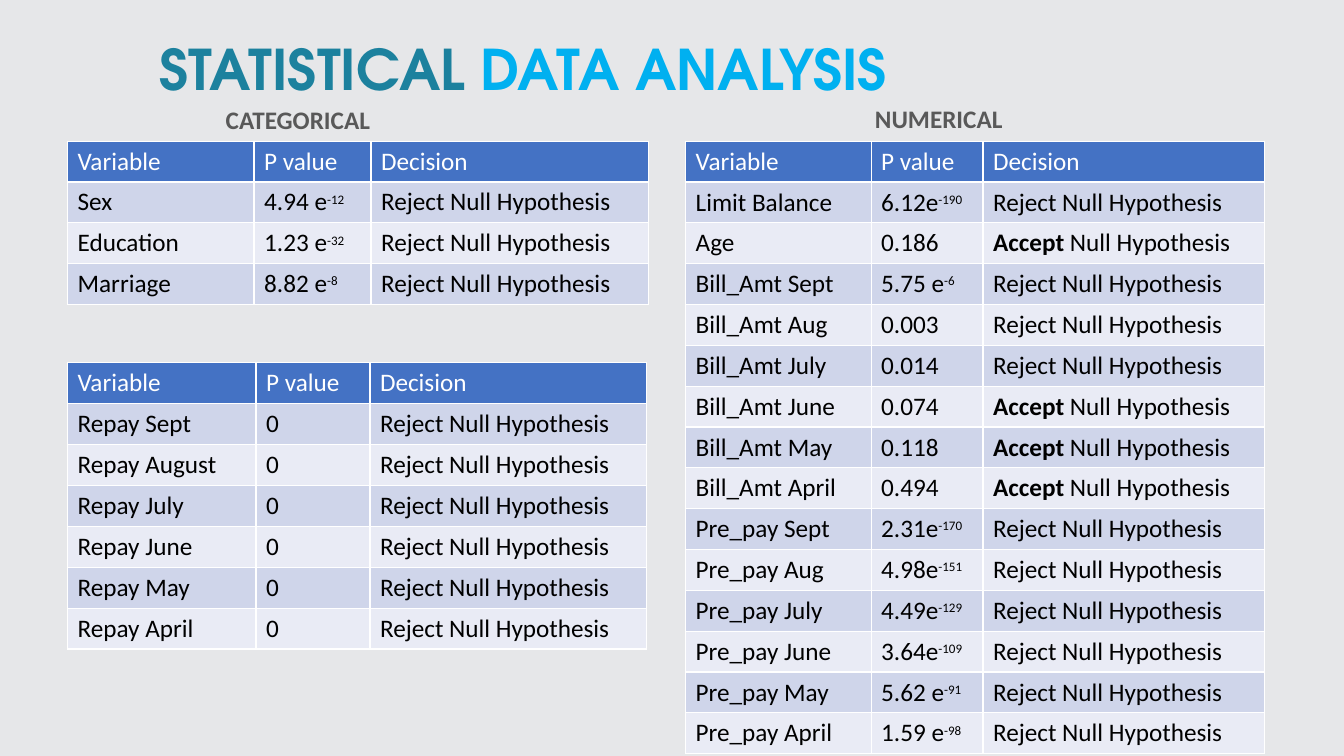
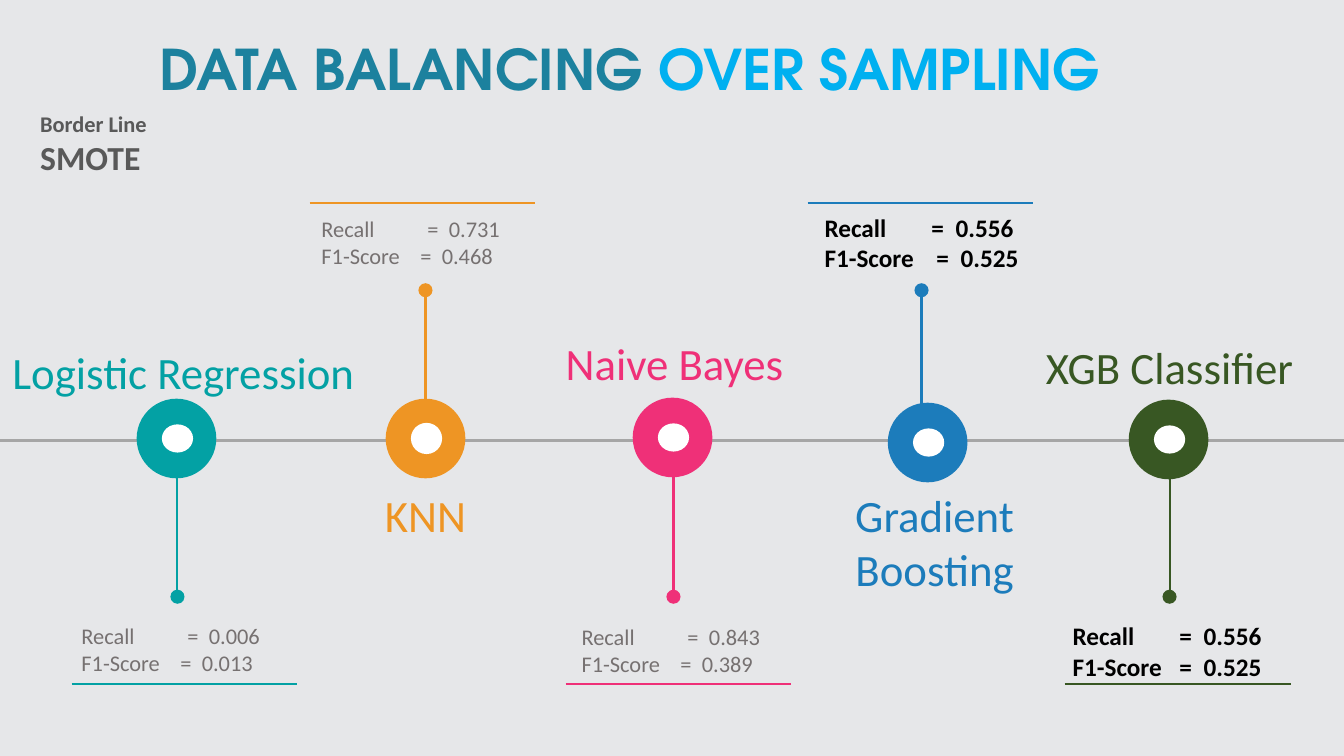
"""Build two slides on credit default statistics and model scores."""
from dataclasses import dataclass
from typing import NamedTuple

from lxml import etree
from pptx import Presentation
from pptx import util as u
from pptx.dml.color import RGBColor
from pptx.enum import shapes, text
from pptx.oxml import ns


@dataclass(frozen=True)
class Theme:
    """Hold the colours, fonts and type sizes of the deck."""
    ground: str = "E6E7E9"
    title_dark: str = "1C819E"
    title_bright: str = "00B0F0"
    heading: str = "595959"
    muted: str = "767171"
    axis: str = "A6A6A6"
    header: str = "4472C4"
    bands: tuple = ("CFD5EA", "E9EBF5")
    black: str = "000000"
    white: str = "FFFFFF"
    body_font: str = "Calibri"
    title_font: str = "TeX Gyre Adventor"
    title_size: int = 40
    label_size: int = 32
    large_size: int = 24
    table_size: int = 18
    note_size: int = 16
    line_width: float = 1.5


class Box(NamedTuple):
    """Describe an area in inches."""
    left: float
    top: float
    width: float
    height: float

    def lengths(self):
        """Return the four sides as slide lengths."""
        return [u.Inches(side) for side in self]


class Model(NamedTuple):
    """Describe one model on the timeline, with offsets from its column."""
    name: str
    colour: str
    above: bool
    strong: bool
    scores: tuple
    stops: tuple
    ring: tuple
    label: tuple
    rule_shift: float
    score_at: tuple
    hole_height: float = 0.28


THEME = Theme()
COLUMNS = ("Variable", "P value", "Decision")
CATEGORICAL = (("Sex", "4.94 e^-12"), ("Education", "1.23 e^-32"), ("Marriage", "8.82 e^-8"))
REPAYMENT = tuple((f"Repay {month}", "0")
                  for month in ("Sept", "August", "July", "June", "May", "April"))
NUMERICAL = (
    ("Limit Balance", "6.12e^-190"), ("Age", "0.186"),
    ("Bill_Amt Sept", "5.75 e^-6"), ("Bill_Amt Aug", "0.003"),
    ("Bill_Amt July", "0.014"), ("Bill_Amt June", "0.074"),
    ("Bill_Amt May", "0.118"), ("Bill_Amt April", "0.494"),
    ("Pre_pay Sept", "2.31e^-170"), ("Pre_pay Aug", "4.98e^-151"),
    ("Pre_pay July", "4.49e^-129"), ("Pre_pay June", "3.64e^-109"),
    ("Pre_pay May", "5.62 e^-91"), ("Pre_pay April", "1.59 e^-98"),
)
ACCEPTED = {"Age", "Bill_Amt June", "Bill_Amt May", "Bill_Amt April"}
MODELS = (
    Model("Logistic Regression", "03A1A4", False, False, ("0.006", "0.013"), (1.05, 0.98),
          (-0.01, -0.02), (0.06, 1.36, 3.7), 0.07, (0.07, 4.11)),
    Model("KNN", "EE9524", True, False, ("0.731", "0.468"), (1.05, 0.98),
          (0, -0.02), (0, 2.78, 1.66), -0.03, (-0.01, 0.08), 0.31),
    Model("Naive Bayes", "EF3078", False, False, ("0.843", "0.389"), (1.05, 0.98),
          (-0.01, -0.03), (0.01, 1.27, 2.5), 0.05, (0.11, 4.12)),
    Model("Gradient Boosting", "1C7CBB", True, True, ("0.556", "0.525"), (1.06, 1.11),
          (0.06, 0.02), (0.13, 2.78, 1.91), -0.01, (0.06, 0.05)),
    Model("XGB Classifier", "385723", False, True, ("0.556", "0.525"), (1.06, 1.06),
          (-0.01, -0.01), (0, 1.31, 2.8), 0.08, (0.06, 4.1)),
)


def add_span(para, words, size, colour, bold=False, name=THEME.body_font):
    """Add a formatted run to a paragraph."""
    span = para.add_run()
    span.text = words
    for key, value in {"size": u.Pt(size), "bold": bold, "name": name}.items():
        setattr(span.font, key, value)
    span.font.color.rgb = RGBColor.from_string(colour)
    return span


def add_frame(slide, box, inset=True):
    """Add a wrapping text box and return its text frame."""
    frame = slide.shapes.add_textbox(*box.lengths()).text_frame
    frame.word_wrap = True
    if not inset:
        for side in ("left", "top", "right", "bottom"):
            setattr(frame, f"margin_{side}", 0)
    return frame


def add_line(slide, start, end, colour):
    """Draw a straight line between two points."""
    line = slide.shapes.add_connector(
        shapes.MSO_CONNECTOR.STRAIGHT, *(u.Inches(value) for value in (*start, *end)))
    line.line.color.rgb = RGBColor.from_string(colour)
    line.line.width = u.Pt(THEME.line_width)
    etree.SubElement(line._element.spPr, ns.qn("a:effectLst"))


def add_disc(slide, x, y, width, height, colour):
    """Draw a filled ellipse around a centre."""
    box = Box(x - width / 2, y - height / 2, width, height)
    disc = slide.shapes.add_shape(shapes.MSO_SHAPE.OVAL, *box.lengths())
    disc.shadow.inherit = False
    disc.fill.solid()
    disc.fill.fore_color.rgb = RGBColor.from_string(colour)
    disc.line.fill.background()


def add_page(deck, dark, bright):
    """Add a page with its ground and two-colour title."""
    page = deck.slides.add_slide(deck.slide_layouts[6])
    page.background.fill.solid()
    page.background.fill.fore_color.rgb = RGBColor.from_string(THEME.ground)
    para = add_frame(page, Box(1.58, 0.34, 9.78, 0.67), inset=False).paragraphs[0]
    for words, colour in ((f"{dark} ", THEME.title_dark), (bright, THEME.title_bright)):
        add_span(para, words, THEME.title_size, colour, True, THEME.title_font)
    return page


def style_cell(cell, colour):
    """Give a cell white borders and a fill."""
    properties = cell._tc.get_or_add_tcPr()
    for side in "LRTB":
        border = etree.SubElement(properties, ns.qn(f"a:ln{side}"), w=str(u.Pt(1)))
        fill = etree.SubElement(border, ns.qn("a:solidFill"))
        etree.SubElement(fill, ns.qn("a:srgbClr"), val=THEME.white)
    cell.fill.solid()
    cell.fill.fore_color.rgb = RGBColor.from_string(colour)


def fill_cell(cell, words, colour):
    """Write a cell, raising exponents and stressing accepted hypotheses."""
    para = cell.text_frame.paragraphs[0]
    base, _, power = words.partition("^")
    if base.startswith("Accept"):
        add_span(para, "Accept", THEME.table_size, colour, True)
        base = base.removeprefix("Accept")
    add_span(para, base, THEME.table_size, colour)
    if power:
        span = add_span(para, power, THEME.note_size, colour)
        span._r.get_or_add_rPr().set("baseline", "30000")


def add_results(slide, box, widths, results):
    """Place a table of test results in a box."""
    rows = [COLUMNS]
    for variable, value in results:
        verdict = "Accept" if variable in ACCEPTED else "Reject"
        rows.append((variable, value, f"{verdict} Null Hypothesis"))
    table = slide.shapes.add_table(len(rows), len(COLUMNS), *box.lengths()).table
    for column, width in zip(table.columns, widths):
        column.width = u.Inches(width)
    for index, row in enumerate(rows):
        table.rows[index].height = u.Inches(box.height / len(rows))
        fill = THEME.bands[(index - 1) % 2] if index else THEME.header
        for cell, words in zip(table.rows[index].cells, row):
            style_cell(cell, fill)
            fill_cell(cell, words, THEME.black if index else THEME.white)


def add_scores(slide, box, model):
    """Write recall and F1 score with aligned values."""
    size = THEME.table_size if model.strong else THEME.note_size
    colour = THEME.black if model.strong else THEME.muted
    frame = add_frame(slide, box)
    for index, name in enumerate(("Recall", "F1-Score")):
        para = frame.add_paragraph() if index else frame.paragraphs[0]
        stop = model.stops[index]
        tabs = etree.SubElement(para._p.get_or_add_pPr(), ns.qn("a:tabLst"))
        for place in (stop, stop + size / 75):
            etree.SubElement(tabs, ns.qn("a:tab"), pos=str(u.Inches(place)), algn="l")
        add_span(para, f"{name}\t=\t{model.scores[index]}", size, colour, model.strong)


def add_model(slide, box, axis, model):
    """Place a model's rule, scores, stem, ring and name in its column."""
    centre = box.left + box.width / 2
    rule_y = box.top if model.above else box.top + box.height
    rule_x = box.left + model.rule_shift
    add_line(slide, (rule_x, rule_y), (rule_x + box.width, rule_y), model.colour)
    score_x, score_y = model.score_at
    add_scores(slide, Box(box.left + score_x, box.top + score_y, box.width, 0.64), model)
    tip = rule_y + (0.87 if model.above else -0.87)
    add_line(slide, (centre, axis), (centre, tip), model.colour)
    add_disc(slide, centre, tip, 0.14, 0.14, model.colour)
    ring_x, ring_y = centre + model.ring[0], axis + model.ring[1]
    add_disc(slide, ring_x, ring_y, 0.79, 0.79, model.colour)
    add_disc(slide, ring_x + 0.01, ring_y, 0.31, model.hole_height, THEME.white)
    shift, drop, width = model.label
    label = Box(centre + shift - width / 2, box.top + drop, width, 0.64)
    para = add_frame(slide, label).paragraphs[0]
    para.alignment = text.PP_ALIGN.CENTER
    add_span(para, model.name, THEME.label_size, model.colour)


def build_statistics(deck):
    """Build the page of hypothesis tests."""
    page = add_page(deck, "STATISTICAL", "DATA ANALYSIS")
    add_results(page, Box(0.67, 1.4, 5.75, 1.62), (1.85, 1.16, 2.75), CATEGORICAL)
    add_results(page, Box(0.67, 3.6, 5.74, 2.84), (1.87, 1.13, 2.74), REPAYMENT)
    add_results(page, Box(6.8, 1.4, 5.75, 6.08), (1.84, 1.11, 2.79), NUMERICAL)
    for words, left, top in (("CATEGORICAL", 2.14, 0.99), ("NUMERICAL", 8.58, 0.98)):
        para = add_frame(page, Box(left, top, 2.33, 0.4)).paragraphs[0]
        add_span(para, words, THEME.table_size, THEME.heading, True)


def build_balancing(deck):
    """Build the timeline of models trained on balanced data."""
    page = add_page(deck, "DATA BALANCING", "OVER SAMPLING")
    frame = add_frame(page, Box(0.3, 1.04, 1.4, 0.77))
    add_span(frame.paragraphs[0], "Border Line", THEME.note_size, THEME.heading, True)
    add_span(frame.add_paragraph(), "SMOTE", THEME.large_size, THEME.heading, True)
    axis, pitch = 4.37, 2.46
    add_line(page, (0, axis), (13.33, axis), THEME.axis)
    for index, model in enumerate(MODELS):
        add_model(page, Box(0.64 + index * pitch, 2.01, 2.24, 4.78), axis, model)


def main():
    """Build and save the deck."""
    deck = Presentation()
    deck.slide_width, deck.slide_height = u.Inches(13.33), u.Inches(7.5)
    build_statistics(deck)
    build_balancing(deck)
    deck.save("out.pptx")


if __name__ == "__main__":
    main()
